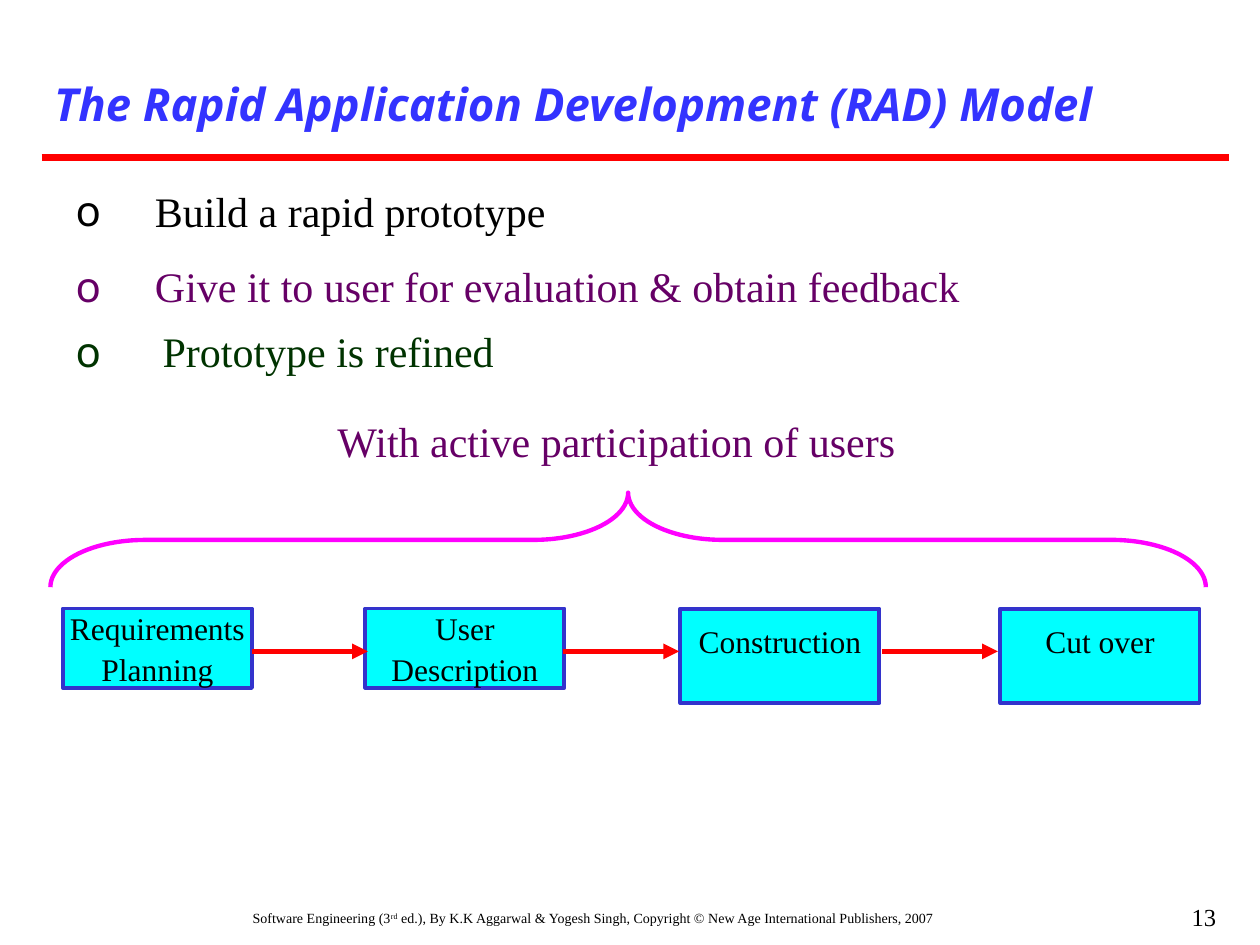
from lxml.etree import SubElement
from pptx import Presentation
from pptx.dml.color import RGBColor
from pptx.enum.shapes import MSO_CONNECTOR as Connector, MSO_SHAPE as Shape
from pptx.enum.text import MSO_ANCHOR as Anchor, MSO_AUTO_SIZE as AutoSize, PP_ALIGN as Align
from pptx.oxml.ns import qn
from pptx.util import Inches, Pt

# Content
TITLE = "The Rapid Application Development (RAD) Model"
STEPS = [  # text, colour, indent, space before
    ("Build a rapid prototype", "000000", 0.63, 0),
    ("Give it to user for evaluation & obtain feedback", "660066", 0.63, 14.2),
    ("Prototype is refined", "003300", 0.69, 8.4),
]
BRACE_LABEL = "With active participation of users"
PHASES = [  # lines, left, width, height, top inset
    (["Requirements", "Planning"], 0.5, 1.5, 0.63, 0),
    (["User", "Description"], 2.9, 1.58, 0.63, 0),
    (["Construction"], 5.4, 1.58, 0.75, 0.11),
    (["Cut over"], 7.94, 1.58, 0.75, 0.11),
]
ARROW_STARTS = [2, 4.47, 7]
FOOTER = [
    ("Software Engineering (3", False),
    ("rd", True),
    (" ed.), By K.K Aggarwal & Yogesh Singh, Copyright © New Age "
     "International Publishers, 2007", False),
]
PAGE_NUMBER = "13"

SERIF, SANS = "Times New Roman", "Noto Sans"
PHASE_TOP, ARROW_Y, ARROW_LENGTH = 4.83, 5.17, 0.92


def color(value):
    return RGBColor.from_string(value)


def place(box, left, top, width, height):
    box.left, box.top = Inches(left), Inches(top)
    box.width, box.height = Inches(width), Inches(height)


def prepare(frame):
    frame.word_wrap = True
    frame.auto_size = AutoSize.NONE
    frame.vertical_anchor = Anchor.TOP


def write(para, text, size=24, font=SERIF, ink="000000", bold=False,
          italic=False, raised=False, align=Align.LEFT, before=0):
    para.alignment = align
    para.space_before = Pt(before)
    span = para.add_run()
    span.text = text
    span.font.size, span.font.name = Pt(size), font
    span.font.bold, span.font.italic = bold, italic
    span.font.color.rgb = color(ink)
    if raised:
        span.font._element.set("baseline", "30000")


def add_label(left, top, width, height):
    box = page.shapes.add_textbox(*map(Inches, (left, top, width, height)))
    prepare(box.text_frame)
    return box.text_frame.paragraphs[0]


def add_bullet(para, indent, ink):
    props = para._p.get_or_add_pPr()
    props.set("marL", str(Inches(indent)))
    props.set("indent", str(-Inches(indent)))
    SubElement(SubElement(props, qn("a:buClr")), qn("a:srgbClr"), val=ink)
    SubElement(props, qn("a:buFont"), typeface=SANS)
    SubElement(props, qn("a:buChar"), char="o")


def add_line(start, end, y, width, arrow=False):
    line = page.shapes.add_connector(
        Connector.STRAIGHT, Inches(start), Inches(y), Inches(end), Inches(y))
    line.line.color.rgb = color("FF0000")
    line.line.width = Pt(width)
    if arrow:
        SubElement(line.line._get_or_add_ln(), qn("a:tailEnd"), type="triangle")
    SubElement(line._element.spPr, qn("a:effectLst"))


deck = Presentation()
deck.slide_width, deck.slide_height = Inches(10), Inches(7.5)
page = deck.slides.add_slide(deck.slide_layouts[1])

# Title and rule
title = page.shapes.title
place(title, 0.33, 0.55, 9.42, 0.54)
prepare(title.text_frame)
write(title.text_frame.paragraphs[0], TITLE, size=26, font=SANS,
      ink="3333FF", bold=True, italic=True)
add_line(0.33, 9.75, 1.25, 4.5)

# Bulleted steps
body = page.placeholders[1]
place(body, 0.5, 1.42, 9.25, 1.58)
prepare(body.text_frame)
for index, (text, ink, indent, before) in enumerate(STEPS):
    para = body.text_frame.add_paragraph() if index else body.text_frame.paragraphs[0]
    para.space_before = Pt(before)
    add_bullet(para, indent, ink)
    write(para, text, ink=ink, before=before)

# Brace, a left brace turned to point upwards
write(add_label(2.58, 3.25, 5.08, 0.5), BRACE_LABEL, ink="660066")
brace = page.shapes.add_shape(Shape.LEFT_BRACE, Inches(4.61), Inches(-0.3),
                              Inches(0.75), Inches(9.17))
brace.rotation = 90
brace.adjustments[0] = 1
brace.shadow.inherit = False
brace.fill.background()
brace.line.color.rgb = color("FF00FF")
brace.line.width = Pt(2.5)

# Phases and arrows
for lines, left, width, height, inset in PHASES:
    box = page.shapes.add_shape(
        Shape.RECTANGLE, *map(Inches, (left, PHASE_TOP, width, height)))
    box.shadow.inherit = False
    box.fill.solid()
    box.fill.fore_color.rgb = color("00FFFF")
    box.line.color.rgb = color("3333CC")
    box.line.width = Pt(2.25)
    frame = box.text_frame
    prepare(frame)
    frame.margin_left = frame.margin_right = frame.margin_bottom = 0
    frame.margin_top = Inches(inset)
    for index, text in enumerate(lines):
        para = frame.add_paragraph() if index else frame.paragraphs[0]
        write(para, text, size=18, align=Align.CENTER, before=2.2 if index else 0)
for start in ARROW_STARTS:
    add_line(start, start + ARROW_LENGTH, ARROW_Y, 3, arrow=True)

# Footer and page number
footer = add_label(0.25, 7.17, 8.92, 0.33)
for text, raised in FOOTER:
    write(footer, text, size=8, raised=raised, align=Align.CENTER)
write(add_label(7.67, 7.11, 2.08, 0.58), PAGE_NUMBER, size=14, align=Align.RIGHT)

deck.save("out.pptx")
